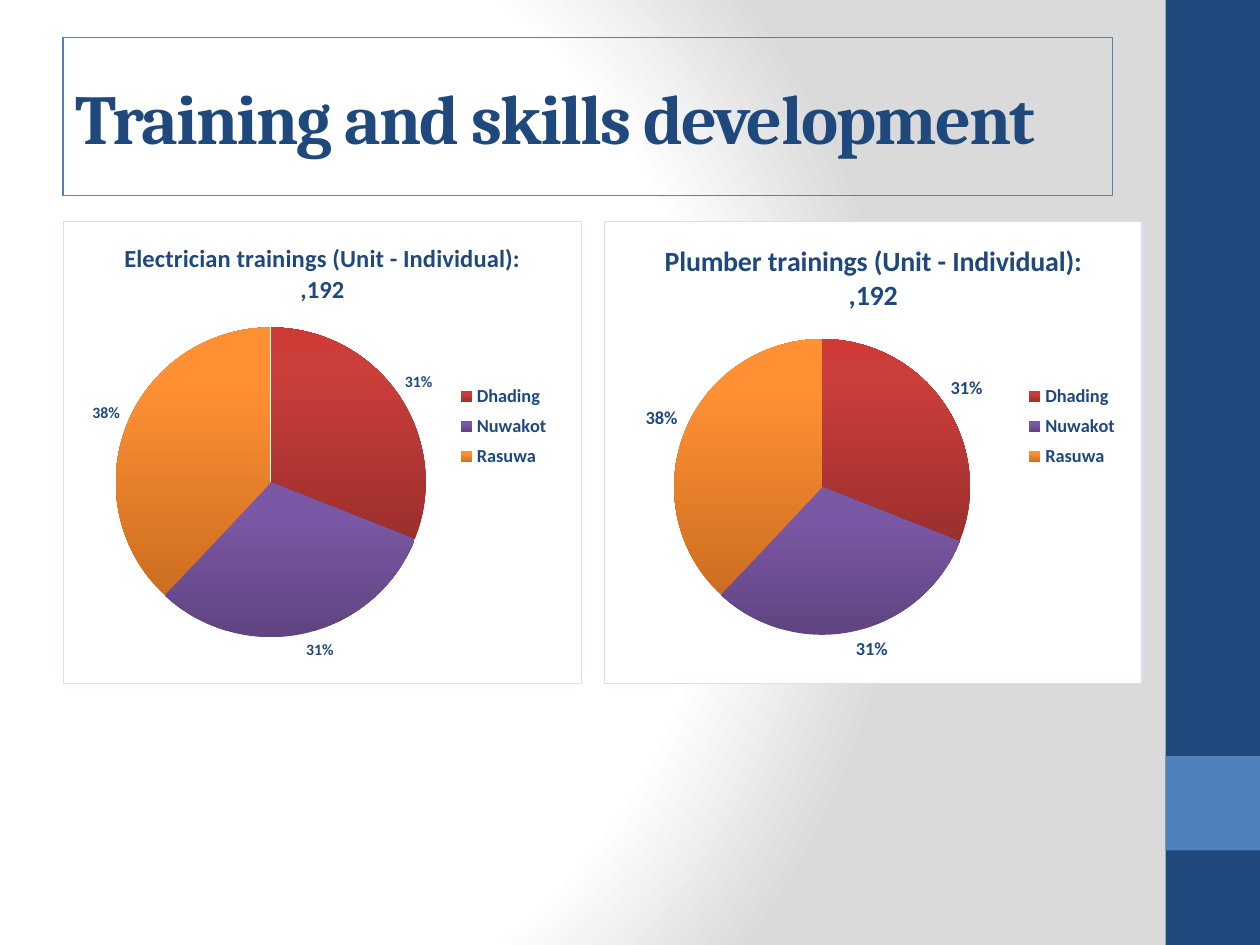
from lxml.etree import SubElement
from pptx import Presentation
from pptx.chart.data import CategoryChartData as Data
from pptx.dml.color import RGBColor as RGB
from pptx.enum.chart import XL_CHART_TYPE as Kind
from pptx.enum.chart import XL_LABEL_POSITION as Spot
from pptx.enum.chart import XL_LEGEND_POSITION as Side
from pptx.enum.shapes import MSO_SHAPE as Form
from pptx.enum.text import MSO_ANCHOR as Anchor, PP_ALIGN as Align
from pptx.oxml import parse_xml
from pptx.oxml.ns import nsdecls, qn
from pptx.util import Inches, Pt

HUES = {"navy": "1F497D", "blue": "4F81BD", "pale": "D4E3F4", "white": "FFFFFF", "grey": "DADADA"}
SLICES = {
    "Dhading": ("9C2F2D", "CB3E3A", "CE3B37"),
    "Nuwakot": ("5F4480", "7B58A6", "7C57A8"),
    "Rasuwa": ("CC6E20", "FF9034", "FF9136"),
}
SHARES = (0.31, 0.31, 0.38)
CHARTS = [
    ("Electrician trainings (Unit - Individual): ,192", 0.5, 4.12, 14, 9,
     (0.1, 0.23, 0.6, 0.67), (0.75, 0.34, 0.2, 0.21)),
    ("Plumber trainings (Unit - Individual): ,192", 4.79, 4.28, 16, 10.5,
     (0.13, 0.25, 0.55, 0.65), (0.77, 0.34, 0.2, 0.21)),
]


def blend(owner, stops, tail):
    marks = "".join(f'<a:gs pos="{at * 1000}"><a:srgbClr val="{hue}"/></a:gs>' for at, hue in stops)
    fill = parse_xml(f'<a:gradFill {nsdecls("a")} rotWithShape="1"><a:gsLst>{marks}</a:gsLst>{tail}</a:gradFill>')
    owner.replace(owner.find(qn("a:solidFill")), fill)


def place(owner, box, inner=False):
    for old in owner.findall(qn("c:layout")):
        owner.remove(old)
    target = '<c:layoutTarget val="inner"/>' if inner else ""
    modes = "".join(f'<c:{axis}Mode val="edge"/>' for axis in "xy")
    sizes = "".join(f'<c:{key} val="{size}"/>' for key, size in zip("xywh", box))
    layout = parse_xml(f'<c:layout {nsdecls("c")}><c:manualLayout>{target}{modes}{sizes}</c:manualLayout></c:layout>')
    owner.insert(0 if inner else 1, layout)


deck = Presentation()
deck.slide_width, deck.slide_height = Inches(10), Inches(7.5)
slide = deck.slides.add_slide(deck.slide_layouts[5])
slide.background.fill.solid()
blend(slide.element.find(".//" + qn("p:bgPr")),
      [(0, HUES["white"]), (75, HUES["white"]), (100, HUES["grey"])],
      '<a:path path="circle"><a:fillToRect l="20000" t="50000" r="100000" b="50000"/></a:path>')

for top, height, hue in ((0, 7.5, "navy"), (6, 0.75, "blue")):
    band = slide.shapes.add_shape(Form.RECTANGLE, Inches(9.25), Inches(top), Inches(0.75), Inches(height))
    band.shadow.inherit = False
    band.fill.solid()
    band.fill.fore_color.rgb = RGB.from_string(HUES[hue])
    band.line.fill.background()

title = slide.shapes.title
title.left, title.top = Inches(0.5), Inches(0.3)
title.width, title.height = Inches(8.33), Inches(1.25)
title.line.color.rgb = RGB.from_string(HUES["blue"])
title.line.width = Pt(0.75)
title.text_frame.text = "Training and skills development"
title.text_frame.vertical_anchor = Anchor.MIDDLE
para = title.text_frame.paragraphs[0]
para.alignment = Align.LEFT
para.font.name, para.font.size, para.font.bold = "Cambria", Pt(40), True
para.font.color.rgb = RGB.from_string(HUES["navy"])
para.runs[0].font._element.set("spc", "-100")

for name, left, width, head, note, pie, key in CHARTS:
    data = Data(number_format="0%")
    data.categories = list(SLICES)
    data.add_series(name, SHARES)
    chart = slide.shapes.add_chart(Kind.PIE, Inches(left), Inches(1.75), Inches(width), Inches(3.68), data).chart
    chart.font.name, chart.font.size = "Calibri", Pt(10)
    chart.has_title = True
    chart.chart_title.text_frame.text = name
    chart.has_legend = True
    chart.legend.position = Side.RIGHT
    chart.legend.include_in_layout = False

    plot = chart.plots[0]
    plot.vary_by_categories = True
    plot.has_data_labels = True
    labels = plot.data_labels
    labels.show_value = True
    labels.number_format, labels.number_format_is_linked = "0%", False
    labels.position = Spot.OUTSIDE_END

    fonts = ((chart.chart_title.text_frame.paragraphs[0].font, head), (chart.legend.font, 10.5), (labels.font, note))
    for font, size in fonts:
        font.name, font.size, font.bold = "Calibri", Pt(size), True
        font.color.rgb = RGB.from_string(HUES["navy"])

    for spot, tones in enumerate(SLICES.values()):
        plot.series[0].points[spot].format.fill.solid()
        part = chart.element.findall(".//" + qn("c:dPt"))[spot].find(qn("c:spPr"))
        blend(part, zip((0, 80, 100), tones), '<a:lin ang="16200000" scaled="0"/>')

    place(chart.element.find(".//" + qn("c:plotArea")), pie, True)
    place(chart.element.find(".//" + qn("c:legend")), key)
    frame = parse_xml(
        f'<c:spPr {nsdecls("c", "a")}><a:solidFill><a:srgbClr val="{HUES["white"]}"/></a:solidFill>'
        f'<a:ln w="{Pt(0.75)}"><a:solidFill><a:srgbClr val="{HUES["pale"]}"/></a:solidFill></a:ln></c:spPr>')
    chart.element.find(qn("c:chart")).addnext(frame)

deck.save("out.pptx")
